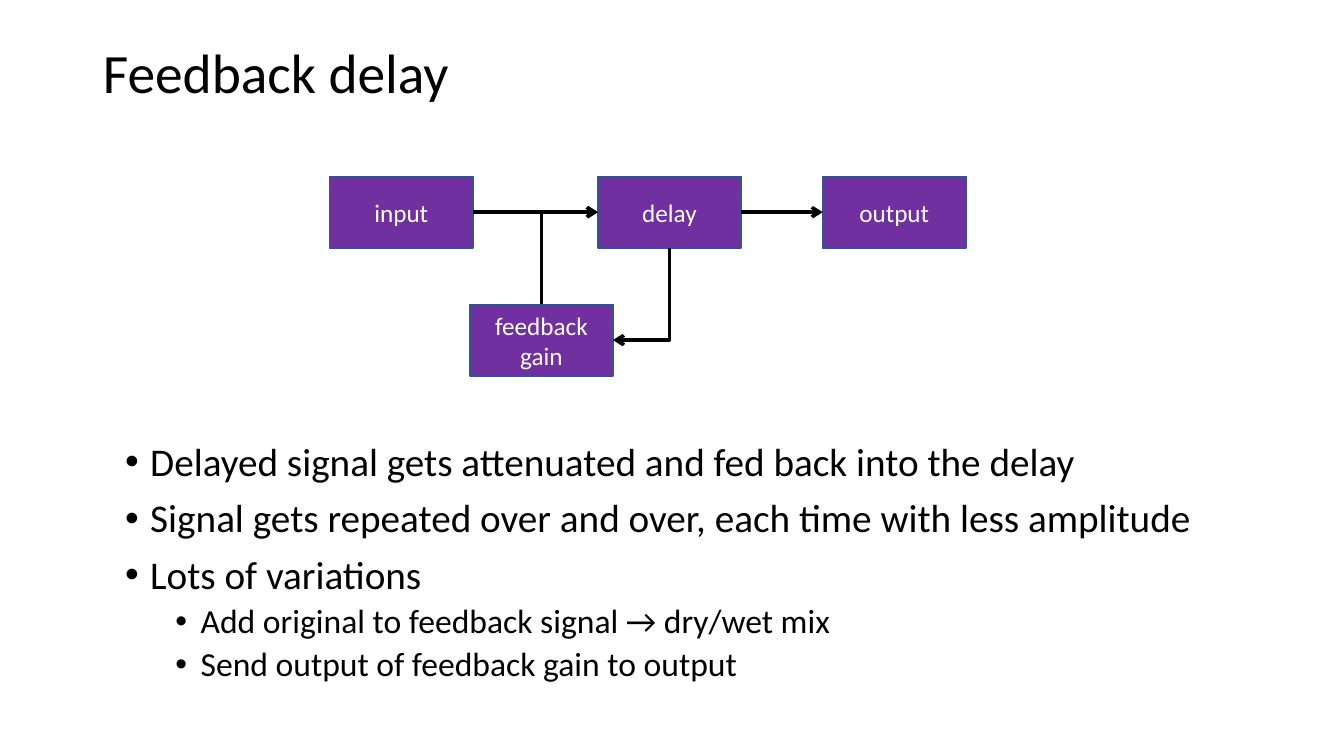
from lxml.etree import SubElement
from pptx import Presentation
from pptx.dml.color import RGBColor
from pptx.enum.shapes import MSO_CONNECTOR, MSO_SHAPE
from pptx.enum.text import MSO_ANCHOR, MSO_AUTO_SIZE, PP_ALIGN
from pptx.oxml.ns import qn
from pptx.util import Inches, Pt

FONT = "Calibri"
BLACK, WHITE, PURPLE, OUTLINE = "000000", "FFFFFF", "7030A0", "325491"
BLOCK_WIDTH, BLOCK_HEIGHT = 1.42, 0.71
TOP, LEFT, BOTTOM, RIGHT = range(4)  # connection sites of a rectangle

# label: (left, top) within the diagram
BLOCKS = {
    "input": (0, 0),
    "delay": (2.66, 0),
    "feedback\ngain": (1.39, 1.27),
    "output": (4.89, 0),
}
# kind, start block, start site, end block, end site, arrowhead element
SIGNALS = [
    (MSO_CONNECTOR.STRAIGHT, "input", RIGHT, "delay", LEFT, "a:tailEnd"),
    (MSO_CONNECTOR.STRAIGHT, "delay", RIGHT, "output", LEFT, "a:tailEnd"),
    (MSO_CONNECTOR.ELBOW, "delay", LEFT, "feedback\ngain", TOP, "a:headEnd"),
    (MSO_CONNECTOR.ELBOW, "feedback\ngain", RIGHT, "delay", BOTTOM, "a:headEnd"),
]
POINTS = [
    (0, "Delayed signal gets attenuated and fed back into the delay"),
    (0, "Signal gets repeated over and over, each time with less amplitude"),
    (0, "Lots of variations"),
    (1, "Add original to feedback signal → dry/wet mix"),
    (1, "Send output of feedback gain to output"),
]
# level: indent of the text in inches, size and space before in points
LEVELS = {0: (0.25, 28, 10), 1: (0.75, 24, 5)}


def rgb(hex_color):
    return RGBColor.from_string(hex_color)


def set_attributes(target, values):
    for name, value in values.items():
        setattr(target, name, value)


def format_font(font, size, color):
    set_attributes(font, {"name": FONT, "size": Pt(size)})
    font.color.rgb = rgb(color)


def place(shape, left, top, width, height):
    box = {"left": left, "top": top, "width": width, "height": height}
    set_attributes(shape, {side: Inches(length) for side, length in box.items()})


def add_title(slide, left, top, width, height):
    title = slide.shapes.title
    place(title, left, top, width, height)
    frame = title.text_frame
    frame.text = "Feedback delay"
    set_attributes(frame, {"vertical_anchor": MSO_ANCHOR.MIDDLE,
                           "auto_size": MSO_AUTO_SIZE.NONE, "word_wrap": True})
    heading = frame.paragraphs[0]
    set_attributes(heading, {"alignment": PP_ALIGN.LEFT, "line_spacing": 0.9})
    format_font(heading.font, 39.6, BLACK)


def add_block(slide, label, left, top):
    block = slide.shapes.add_shape(
        MSO_SHAPE.RECTANGLE, Inches(left), Inches(top),
        Inches(BLOCK_WIDTH), Inches(BLOCK_HEIGHT))
    block.shadow.inherit = False
    block.fill.solid()
    block.fill.fore_color.rgb = rgb(PURPLE)
    block.line.color.rgb = rgb(OUTLINE)
    block.line.width = Pt(1)
    block.text_frame.text = label
    block.text_frame.vertical_anchor = MSO_ANCHOR.MIDDLE
    for line in block.text_frame.paragraphs:
        line.alignment = PP_ALIGN.CENTER
        format_font(line.font, 18, WHITE)
    return block


def add_signal(slide, kind, start, start_site, end, end_site, arrowhead):
    signal = slide.shapes.add_connector(kind, 0, 0, 0, 0)
    signal.begin_connect(start, start_site)
    signal.end_connect(end, end_site)
    signal.line.color.rgb = rgb(BLACK)
    signal.line.width = Pt(2.5)
    properties = signal.element.spPr
    if kind == MSO_CONNECTOR.ELBOW:
        properties.find(qn("a:prstGeom")).set("prst", "bentConnector2")
    SubElement(properties.find(qn("a:ln")), qn(arrowhead), type="arrow")
    SubElement(properties, qn("a:effectLst"))


def add_diagram(slide, left, top):
    blocks = {label: add_block(slide, label, left + x, top + y)
              for label, (x, y) in BLOCKS.items()}
    for kind, start, start_site, end, end_site, arrowhead in SIGNALS:
        add_signal(slide, kind, blocks[start], start_site,
                   blocks[end], end_site, arrowhead)


def add_points(slide, left, top, width, height):
    body = slide.placeholders[1]
    place(body, left, top, width, height)
    frame = body.text_frame
    set_attributes(frame, {"auto_size": MSO_AUTO_SIZE.NONE, "word_wrap": True})
    frame.text = "\n".join(text for _, text in POINTS)
    for number, (point, (level, _)) in enumerate(zip(frame.paragraphs, POINTS)):
        indent, size, space_before = LEVELS[level]
        set_attributes(point, {
            "level": level, "line_spacing": 0.9,
            "space_before": Pt(space_before if number else 0)})
        properties = point._p.get_or_add_pPr()
        properties.set("marL", str(Inches(indent)))
        properties.set("indent", str(Inches(-0.25)))
        SubElement(properties, qn("a:buFont"), typeface="Arial")
        SubElement(properties, qn("a:buChar"), char="•")
        format_font(point.font, size, BLACK)


def main():
    deck = Presentation()
    set_attributes(deck, {"slide_width": Inches(13.33), "slide_height": Inches(7.5)})
    slide = deck.slides.add_slide(deck.slide_layouts[1])
    add_title(slide, 0.92, 0.4, 11.46, 0.7)
    add_diagram(slide, 3.27, 1.75)
    add_points(slide, 1.14, 4.34, 11.27, 2.89)
    deck.save("out.pptx")


if __name__ == "__main__":
    main()
